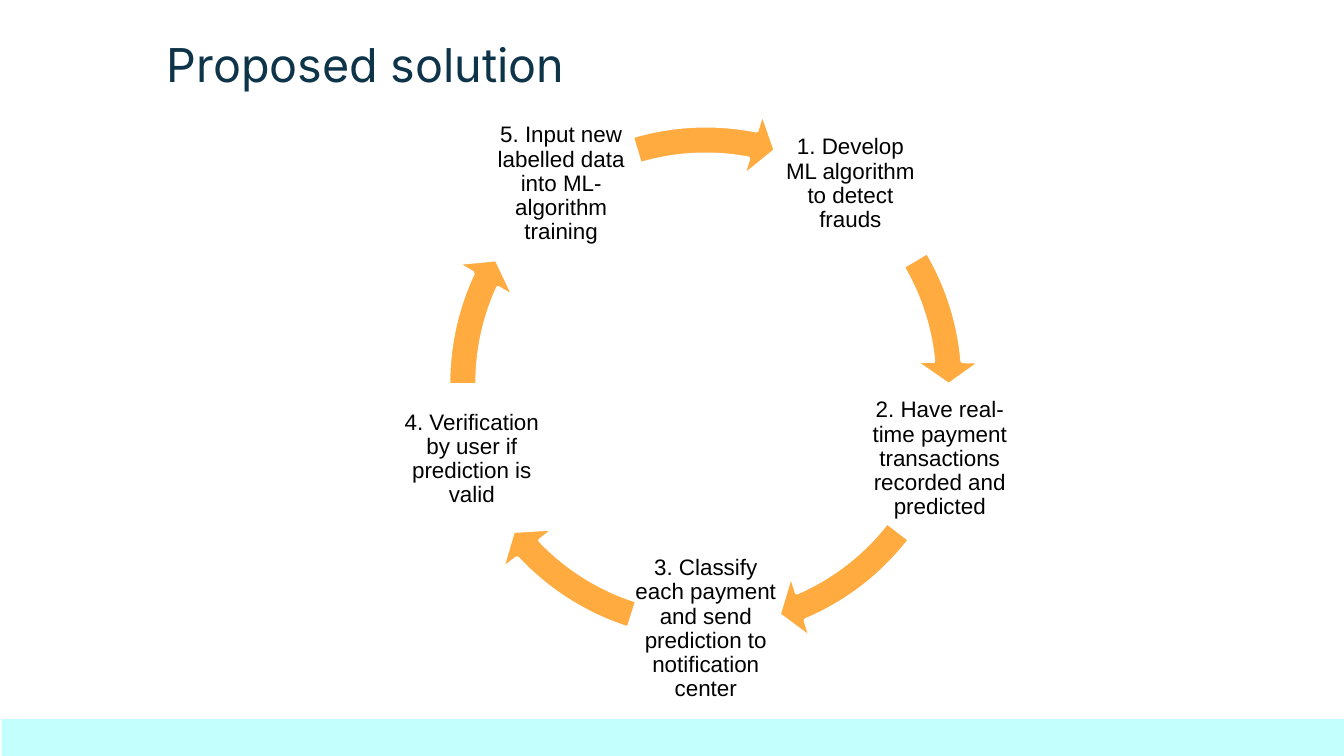
import math

from pptx import Presentation
from pptx import util as u
from pptx.dml import color
from pptx.enum import shapes, text

COLOURS = {
    "title": "0E3449",
    "body": "000000",
    "band": "C3FFFC",
    "arrow": "FFAB40",
    "outline": "FFFFFF",
}
TITLE_FONT, BODY_FONT = "Inter", "Arial"

CENTRE_X, CENTRE_Y = 13.34, 7.24
STEP_RADIUS, STEP_SIZE = 4.65, 2.79
RING_SIZE = 10.46
ADJUSTMENT_PER_DEGREE = 0.6

CYCLE = [
    ("1. Develop ML algorithm to detect frauds", 329.44, 354.88),
    ("2. Have real-time payment transactions recorded and predicted", 37.56, 66.91),
    ("3. Classify each payment and send prediction to notification center", 107.5, 136.84),
    ("4. Verification by user if prediction is valid", 179.52, 204.96),
    ("5. Input new labelled data into ML-algorithm training", 253.31, 281.09),
]


class CycleSlide:
    def __init__(self, deck):
        self.slide = deck.slides.add_slide(deck.slide_layouts[5])

    def colour(self, name):
        return color.RGBColor.from_string(COLOURS[name])

    def set_words(self, frame, words, font, size, colour, align, anchor, inset):
        frame.text = words
        frame.word_wrap = True
        frame.auto_size = text.MSO_AUTO_SIZE.NONE
        frame.vertical_anchor = anchor
        frame.margin_left = frame.margin_right = u.Cm(inset)
        frame.margin_top = frame.margin_bottom = u.Cm(inset)
        paragraph = frame.paragraphs[0]
        paragraph.alignment = align
        for run in paragraph.runs:
            run.font.name = font
            run.font.size = u.Pt(size)
            run.font.color.rgb = self.colour(colour)
        return paragraph

    def title(self, words, left, top, width, height):
        heading = self.slide.shapes.title
        heading.left, heading.top = u.Cm(left), u.Cm(top)
        heading.width, heading.height = u.Cm(width), u.Cm(height)
        self.set_words(heading.text_frame, words, TITLE_FONT, 25, "title",
                       text.PP_ALIGN.LEFT, text.MSO_ANCHOR.TOP, 0.25)

    def shape(self, kind, left, top, width, height, fill):
        item = self.slide.shapes.add_shape(
            kind, u.Cm(left), u.Cm(top), u.Cm(width), u.Cm(height))
        item.shadow.inherit = False
        item.fill.solid()
        item.fill.fore_color.rgb = self.colour(fill)
        item.line.fill.background()
        return item

    def step(self, words, angle):
        middle_x = CENTRE_X + STEP_RADIUS * math.cos(math.radians(angle))
        middle_y = CENTRE_Y + STEP_RADIUS * math.sin(math.radians(angle))
        label = self.slide.shapes.add_textbox(
            u.Cm(middle_x - STEP_SIZE / 2), u.Cm(middle_y - STEP_SIZE / 2),
            u.Cm(STEP_SIZE), u.Cm(STEP_SIZE))
        paragraph = self.set_words(label.text_frame, words, BODY_FONT, 12, "body",
                                   text.PP_ALIGN.CENTER, text.MSO_ANCHOR.MIDDLE, 0.04)
        paragraph.line_spacing = 0.9

    def arrow(self, start, end):
        arc = self.shape(shapes.MSO_SHAPE.CIRCULAR_ARROW,
                         CENTRE_X - RING_SIZE / 2, CENTRE_Y - RING_SIZE / 2,
                         RING_SIZE, RING_SIZE, "arrow")
        arc.line.color.rgb = self.colour("outline")
        arc.line.width = u.Pt(2)
        head_angle, thickness, head_width = 5.6, 0.052, 0.061
        angles = [degrees * ADJUSTMENT_PER_DEGREE for degrees in (head_angle, end, start)]
        for index, value in enumerate([thickness, *angles, head_width]):
            arc.adjustments[index] = value


def main():
    deck = Presentation()
    deck.slide_width, deck.slide_height = u.Cm(25.4), u.Cm(14.29)
    solution = CycleSlide(deck)
    solution.title("Proposed solution", 2.9, 0.43, 14.76, 1.47)
    solution.shape(shapes.MSO_SHAPE.RECTANGLE, 0.03, 13.59, 25.4, 0.7, "band")
    for position, (words, start, end) in enumerate(CYCLE):
        solution.step(words, -54 + position * 360 / len(CYCLE))
        solution.arrow(start, end)
    deck.save("out.pptx")


if __name__ == "__main__":
    main()
